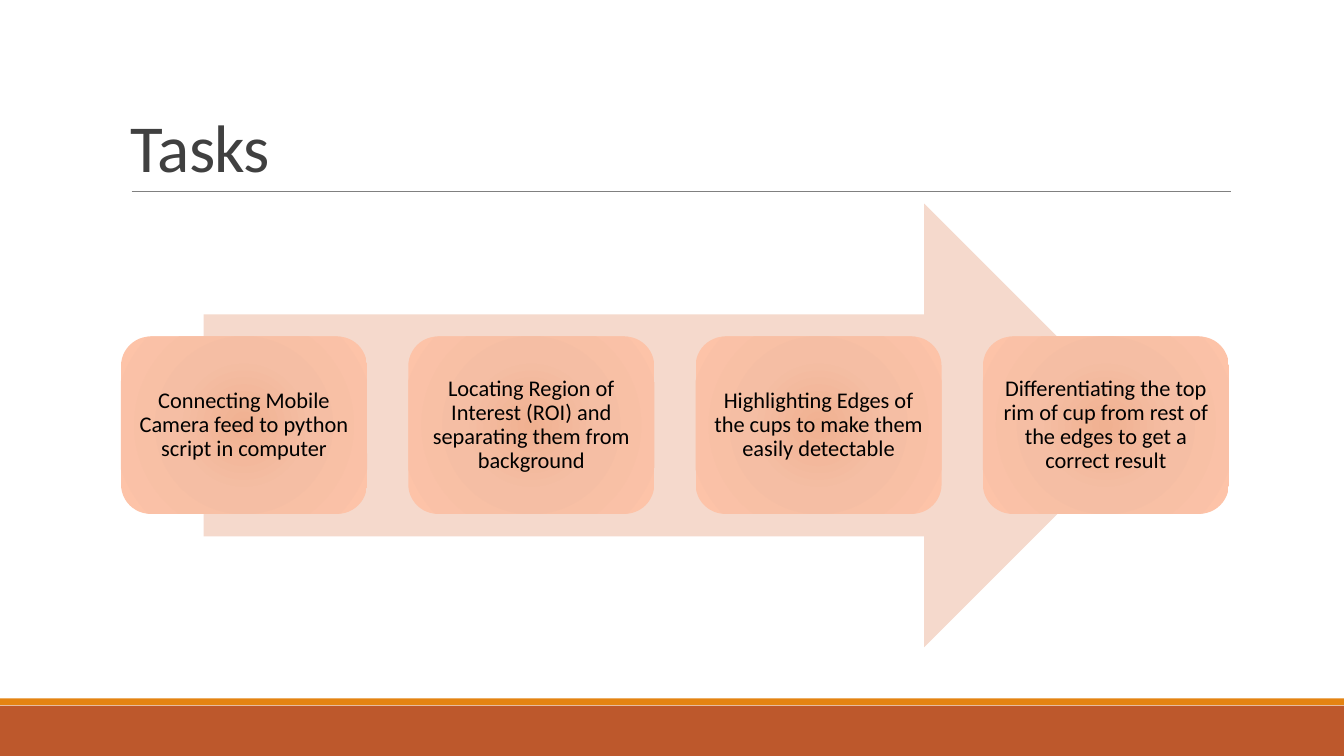
from typing import NamedTuple, Optional

from pptx import Presentation
from pptx.dml.color import RGBColor
from pptx.enum.shapes import MSO_CONNECTOR, MSO_SHAPE as Shape
from pptx.enum.text import MSO_ANCHOR as Anchor, PP_ALIGN as Align
from pptx.oxml import parse_xml
from pptx.oxml.ns import nsdecls
from pptx.util import Cm, Pt

FONT = "Calibri"
RUST = RGBColor(0xBD, 0x58, 0x2C)
ORANGE = RGBColor(0xE4, 0x83, 0x12)
PALE_PEACH = RGBColor(0xF5, 0xD9, 0xCC)
GREY = RGBColor(0x80, 0x80, 0x80)
DARK_GREY = RGBColor(0x40, 0x40, 0x40)
BLACK = RGBColor(0, 0, 0)
CARD_STOPS = (
    (0, RGBColor(0xF0, 0xB1, 0x91)),
    (45, RGBColor(0xF5, 0xBE, 0xA4)),
    (100, RGBColor(0xFD, 0xC3, 0xA8)),
)

SLIDE_W, SLIDE_H = 33.87, 19.05
CARD_LEFT, CARD_TOP, CARD_W, CARD_H = 3.05, 8.48, 6.2, 4.47
CARD_PITCH = 7.24
TASKS = (
    "Connecting Mobile Camera feed to python script in computer",
    "Locating Region of Interest (ROI) and separating them from background",
    "Highlighting Edges of the cups to make them easily detectable",
    "Differentiating the top rim of cup from rest of the edges to get a correct result",
)


class Box(NamedTuple):
    """Position and size in centimetres."""
    left: float
    top: float
    width: float
    height: float


class Block(NamedTuple):
    kind: Shape
    box: Box
    color: RGBColor


BLOCKS = (
    Block(Shape.RECTANGLE, Box(0, 17.78, SLIDE_W, 1.27), RUST),
    Block(Shape.RECTANGLE, Box(0, 17.6, SLIDE_W, 0.17), ORANGE),
    Block(Shape.RIGHT_ARROW, Box(5.13, 5.13, 23.75, 11.18), PALE_PEACH),
)


def add_plain_shape(slide, kind: Shape, box: Box, color: Optional[RGBColor] = None):
    """Add a shape without outline or shadow, filled if a colour is given."""
    sp = slide.shapes.add_shape(kind, *map(Cm, box))
    sp.shadow.inherit = False
    sp.line.fill.background()
    if color is not None:
        sp.fill.solid()
        sp.fill.fore_color.rgb = color
    return sp


def set_radial_fill(sp, stops) -> None:
    """Fill from the centre outwards."""
    gs = "".join(
        f'<a:gs pos="{pos * 1000}"><a:srgbClr val="{color}"/></a:gs>'
        for pos, color in stops
    )
    fill = parse_xml(
        f'<a:gradFill {nsdecls("a")} rotWithShape="1"><a:gsLst>{gs}</a:gsLst>'
        '<a:path path="circle">'
        '<a:fillToRect l="50000" t="50000" r="50000" b="50000"/>'
        "</a:path></a:gradFill>"
    )
    sp.fill.background()
    no_fill = sp.element.spPr.find("{*}noFill")
    sp.element.spPr.replace(no_fill, fill)


def write(sp, text: str, *, size: float, color: RGBColor, align: Align,
          anchor: Anchor, line_spacing: float, inset: Optional[float] = None,
          tracking: Optional[float] = None) -> None:
    """Set the text; inset is in centimetres, tracking in points."""
    tf = sp.text_frame
    tf.word_wrap = True
    tf.vertical_anchor = anchor
    if inset is not None:
        tf.margin_left = tf.margin_right = Cm(inset)
        tf.margin_top = tf.margin_bottom = Cm(inset)
    p = tf.paragraphs[0]
    p.alignment = align
    p.line_spacing = line_spacing
    r = p.add_run()
    r.text = text
    r.font.name = FONT
    r.font.size = Pt(size)
    r.font.color.rgb = color
    if tracking is not None:
        r.font._element.set("spc", str(round(tracking * 100)))


def add_title(slide) -> None:
    rule = slide.shapes.add_connector(
        MSO_CONNECTOR.STRAIGHT, Cm(3.32), Cm(4.83), Cm(31.01), Cm(4.83))
    rule.line.color.rgb = GREY
    rule.line.width = Pt(0.5)
    rule.element.spPr.append(parse_xml(f'<a:effectLst {nsdecls("a")}/>'))
    sp = slide.shapes.add_textbox(*map(Cm, Box(3.05, 0.79, 27.94, 4.04)))
    write(sp, "Tasks", size=48, color=DARK_GREY, align=Align.LEFT,
          anchor=Anchor.BOTTOM, line_spacing=0.85, tracking=-0.5)


def add_task_card(slide, index: int, text: str) -> None:
    box = Box(CARD_LEFT + index * CARD_PITCH, CARD_TOP, CARD_W, CARD_H)
    sp = add_plain_shape(slide, Shape.ROUNDED_RECTANGLE, box)
    set_radial_fill(sp, CARD_STOPS)
    write(sp, text, size=16, color=BLACK, align=Align.CENTER,
          anchor=Anchor.MIDDLE, line_spacing=0.9, inset=0.18)


def main() -> None:
    prs = Presentation()
    prs.slide_width, prs.slide_height = Cm(SLIDE_W), Cm(SLIDE_H)
    slide = prs.slides.add_slide(prs.slide_layouts[6])
    for block in BLOCKS:
        add_plain_shape(slide, *block)
    add_title(slide)
    for index, text in enumerate(TASKS):
        add_task_card(slide, index, text)
    prs.save("out.pptx")


if __name__ == "__main__":
    main()
